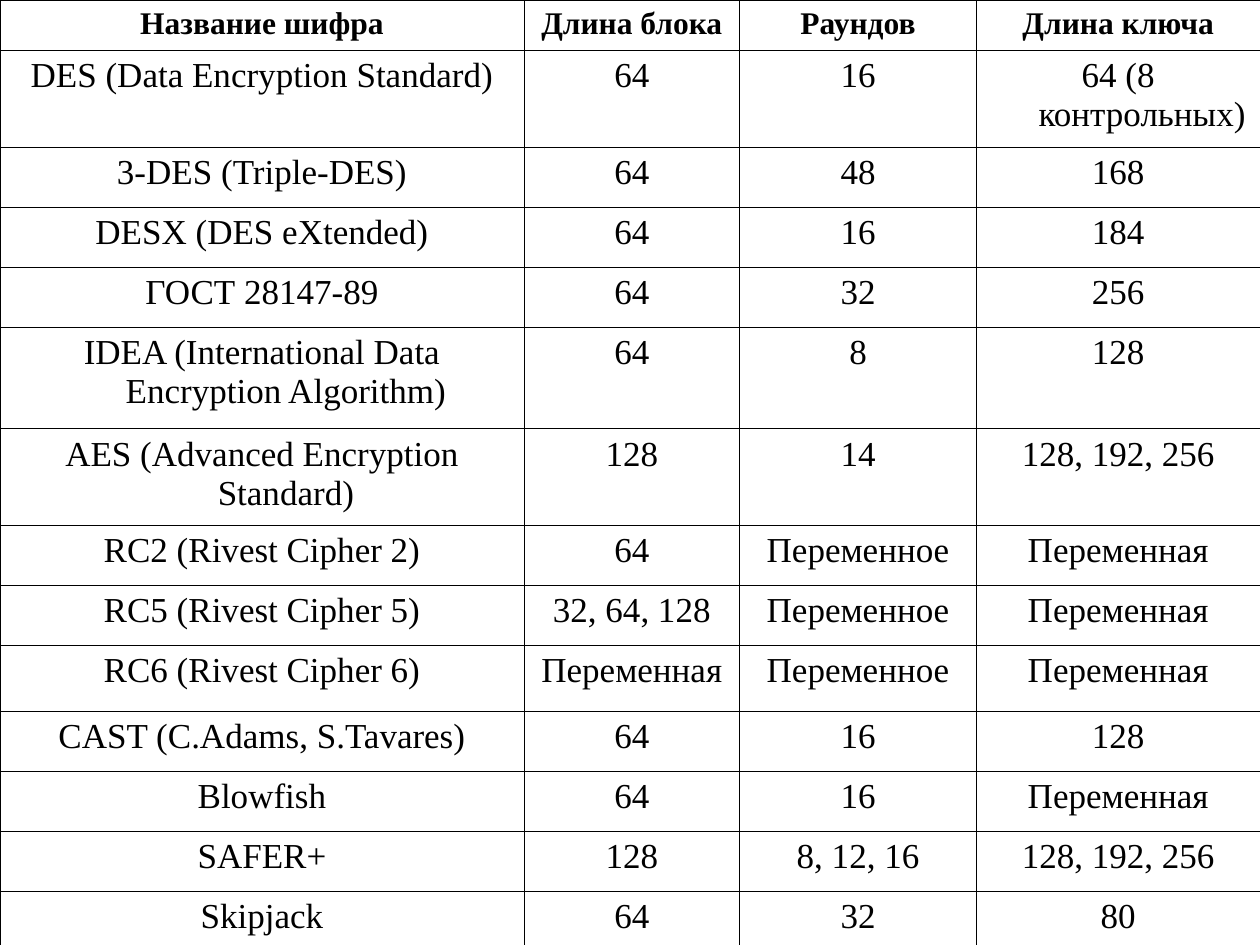
from dataclasses import dataclass

from lxml.etree import SubElement
from pptx import Presentation
from pptx.dml.color import RGBColor
from pptx.enum.text import MSO_ANCHOR, PP_ALIGN
from pptx.oxml.ns import qn
from pptx.util import Pt


@dataclass(frozen=True)
class Theme:
    ink: str = "000000"
    font: str = "Times New Roman"
    header_size: float = 18
    body_size: float = 20
    rule: float = 0.45
    hanging: float = 27.36


THEME = Theme()


def write(cell, text, size=THEME.body_size, bold=False, color=THEME.ink):
    cell.vertical_anchor = MSO_ANCHOR.TOP
    cell.margin_left = cell.margin_right = Pt(7.2)
    cell.margin_top = cell.margin_bottom = Pt(3.6)
    paragraph = cell.text_frame.paragraphs[0]
    paragraph.alignment = PP_ALIGN.CENTER
    indents = paragraph._p.get_or_add_pPr()
    indents.set("marL", str(Pt(THEME.hanging)))
    indents.set("indent", str(-Pt(THEME.hanging)))
    run = paragraph.add_run()
    run.text = text
    run.font.name = THEME.font
    run.font.size = Pt(size)
    run.font.bold = bold
    run.font.color.rgb = RGBColor.from_string(color)


def outline(cell):
    """Rule all four sides of the cell and leave it unfilled."""
    properties = cell._tc.get_or_add_tcPr()
    for side in ("a:lnL", "a:lnR", "a:lnT", "a:lnB"):
        line = SubElement(properties, qn(side), w=str(Pt(THEME.rule)))
        fill = SubElement(line, qn("a:solidFill"))
        SubElement(fill, qn("a:srgbClr"), val=THEME.ink)
    cell.fill.background()


HEADER = ("Название шифра", "Длина блока", "Раундов", "Длина ключа")
CIPHERS = [
    ("DES (Data Encryption Standard)", "64", "16", "64 (8 контрольных)"),
    ("3-DES (Triple-DES)", "64", "48", "168"),
    ("DESX (DES eXtended)", "64", "16", "184"),
    ("ГОСТ 28147-89", "64", "32", "256"),
    ("IDEA (International Data Encryption Algorithm)", "64", "8", "128"),
    ("AES (Advanced Encryption Standard)", "128", "14", "128, 192, 256"),
    ("RC2 (Rivest Cipher 2)", "64", "Переменное", "Переменная"),
    ("RC5 (Rivest Cipher 5)", "32, 64, 128", "Переменное", "Переменная"),
    ("RC6 (Rivest Cipher 6)", "Переменная", "Переменное", "Переменная"),
    ("CAST (C.Adams, S.Tavares)", "64", "16", "128"),
    ("Blowfish", "64", "16", "Переменная"),
    ("SAFER+", "128", "8, 12, 16", "128, 192, 256"),
    ("Skipjack", "64", "32", "80"),
]
COLUMN_WIDTHS = (299.4, 123.3, 135.3, 162)
HEADER_HEIGHT, ROW_HEIGHT = 28.6, 34.3
TALLER_ROWS = {1: 55.4, 5: 58.2, 6: 55, 9: 37.6}

presentation = Presentation()
presentation.slide_width, presentation.slide_height = Pt(720), Pt(540)
slide = presentation.slides.add_slide(presentation.slide_layouts[6])

rows = [HEADER, *CIPHERS]
heights = [HEADER_HEIGHT] + [
    TALLER_ROWS.get(number, ROW_HEIGHT) for number in range(1, len(rows))
]
ciphers = slide.shapes.add_table(
    len(rows), len(HEADER), 0, 0, Pt(sum(COLUMN_WIDTHS)), Pt(sum(heights))
).table
ciphers.first_row = ciphers.horz_banding = False

for column, width in zip(ciphers.columns, COLUMN_WIDTHS):
    column.width = Pt(width)

for row, height, texts in zip(ciphers.rows, heights, rows):
    row.height = Pt(height)
    style = {"size": THEME.header_size, "bold": True} if texts is HEADER else {}
    for cell, text in zip(row.cells, texts):
        write(cell, text, **style)
        outline(cell)

presentation.save("out.pptx")
